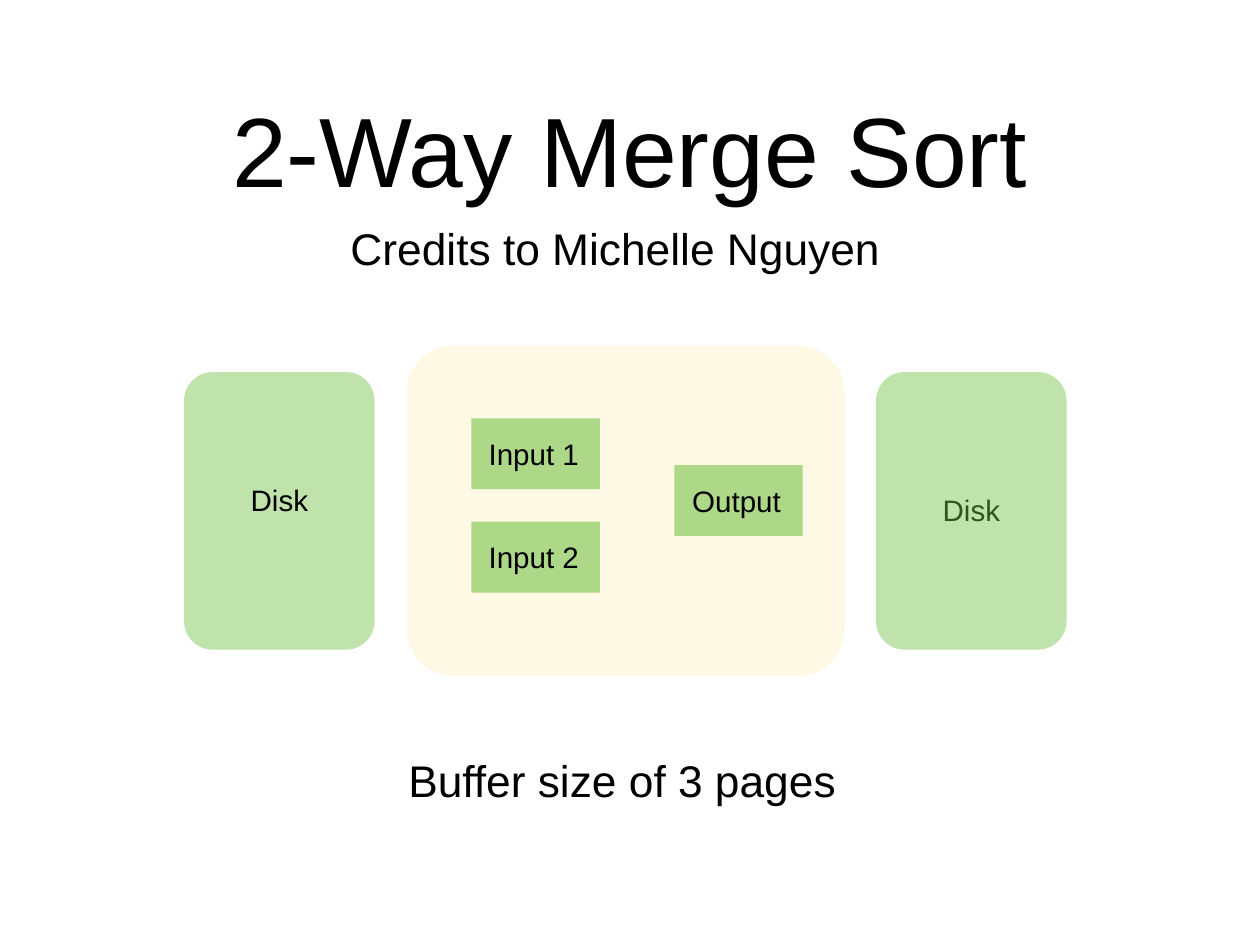
import pptx
import pptx.util
import pptx.dml.color
import pptx.enum.shapes
import pptx.enum.text
import pptx.oxml
import pptx.oxml.ns

COLORS = {"green": "70BF41", "yellow": "F5D328", "text": "000000"}
COLUMNS, ROWS = 128, 96

deck = pptx.Presentation()
deck.slide_width = pptx.util.Inches(14.22)
deck.slide_height = pptx.util.Inches(10.67)
column = deck.slide_width / COLUMNS
row = deck.slide_height / ROWS
slide = deck.slides.add_slide(deck.slide_layouts[6])


def add_block(kind, left, top, width, height, color, opacity, rounding=None):
    block = slide.shapes.add_shape(
        kind, round(left * column), round(top * row),
        round(width * column), round(height * row))
    block.shadow.inherit = False
    block.line.fill.background()
    block.fill.solid()
    block.fill.fore_color.rgb = pptx.dml.color.RGBColor.from_string(COLORS[color])
    tint = block.fill._xPr.find(".//" + pptx.oxml.ns.qn("a:srgbClr"))
    tint.append(pptx.oxml.parse_xml(
        f'<a:alpha {pptx.oxml.ns.nsdecls("a")} val="{opacity * 1000}"/>'))
    if rounding:
        block.adjustments[0] = rounding


def add_label(wording, center_x, center_y, width, height, size, inset=0.06, wrap=False):
    label = slide.shapes.add_textbox(
        round((center_x - width / 2) * column), round((center_y - height / 2) * row),
        round(width * column), round(height * row))
    frame = label.text_frame
    frame.word_wrap = wrap
    if not wrap:
        frame.auto_size = pptx.enum.text.MSO_AUTO_SIZE.SHAPE_TO_FIT_TEXT
    frame.vertical_anchor = pptx.enum.text.MSO_ANCHOR.MIDDLE
    frame.margin_left = frame.margin_right = pptx.util.Inches(inset)
    frame.margin_top = frame.margin_bottom = pptx.util.Inches(inset)
    paragraph = frame.paragraphs[0]
    paragraph.alignment = pptx.enum.text.PP_ALIGN.CENTER
    run = paragraph.add_run()
    run.text = wording
    run.font.size = pptx.util.Pt(size)
    run.font.name = "Arial"
    run.font.color.rgb = pptx.dml.color.RGBColor.from_string(COLORS["text"])


rounded = pptx.enum.shapes.MSO_SHAPE.ROUNDED_RECTANGLE
rectangle = pptx.enum.shapes.MSO_SHAPE.RECTANGLE

add_label("2-Way Merge Sort", 64, 15.03, 109.3, 21.2, 80, inset=0, wrap=True)
add_label("Credits to Michelle Nguyen", 62.5, 25.2, 57, 6.5, 36)

add_block(rounded, 41.3, 35.1, 44.5, 33.6, "yellow", 12, 0.143)

disk_width, disk_height, disk_top = 19.35, 28.2, 37.8
source_disk, target_disk = 18.7, 89
add_block(rounded, source_disk, disk_top, disk_width, disk_height, "green", 44, 0.15)
add_label("Disk", source_disk + disk_width / 2, 50.8, 8, 4.6, 24)
add_label("Disk", target_disk + disk_width / 2, 51.8, 8, 4.6, 24)
add_block(rounded, target_disk, disk_top, disk_width, disk_height, "green", 44, 0.15)

page_width, page_height = 13.05, 7.2
buffer_pages = [("Input 1", 47.9, 42.5), ("Input 2", 47.9, 53), ("Output", 68.5, 47.25)]
for page_name, left, top in buffer_pages:
    add_block(rectangle, left, top, page_width, page_height, "green", 56)
    add_label(page_name, left + page_width / 2 - 0.2, top + page_height / 2, 11, 4.6, 24)

add_label("Buffer size of 3 pages", 63.2, 79.2, 46, 6.4, 36)

deck.save("out.pptx")
